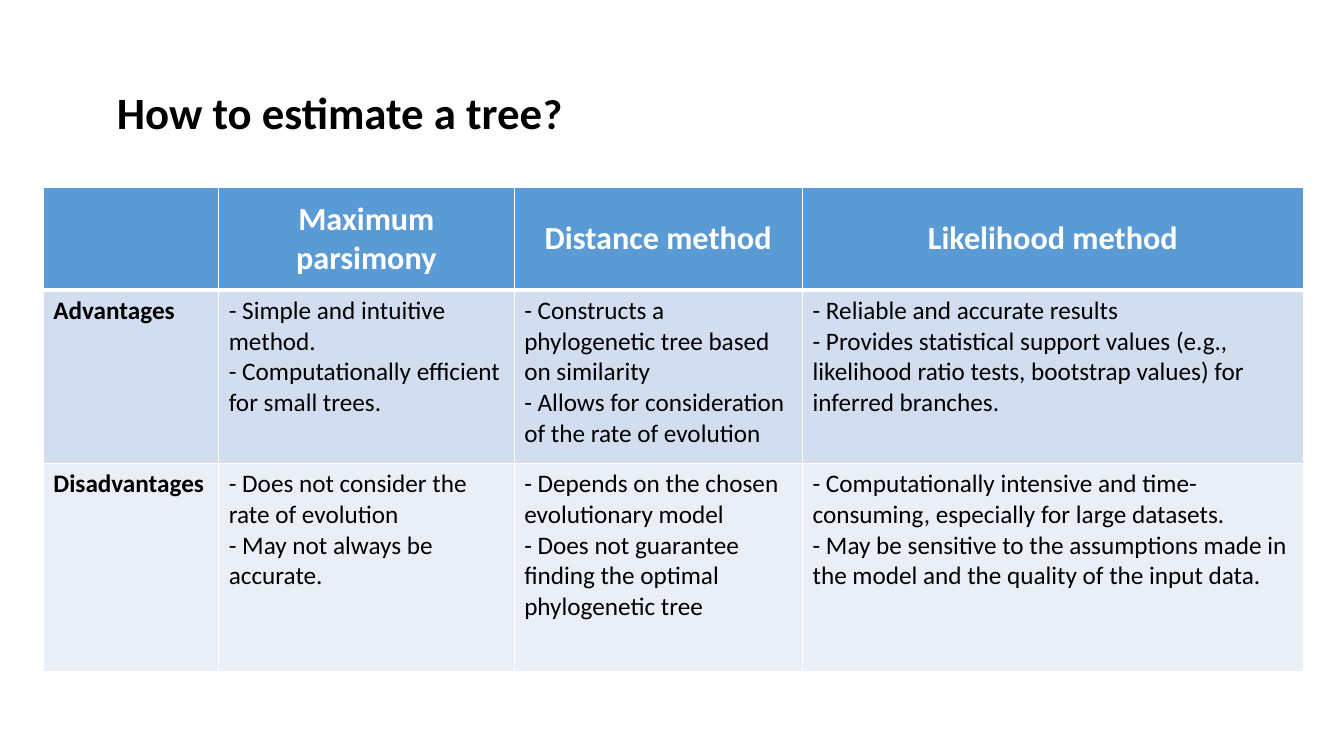
from dataclasses import dataclass

from lxml.etree import SubElement
from pptx import Presentation
from pptx.dml.color import RGBColor as Rgb
from pptx.enum.text import MSO_ANCHOR as Anchor, MSO_AUTO_SIZE as AutoSize, PP_ALIGN as Align
from pptx.oxml.ns import qn
from pptx.util import Emu, Pt


@dataclass(frozen=True)
class Theme:
    font: str = "Calibri"
    ink: str = "000000"
    paper: str = "FFFFFF"
    header_fill: str = "5B9BD5"
    body_fills: tuple = ("D2DEEF", "EAEFF7")
    title_size: int = 32
    mark_size: int = 30
    header_size: int = 23
    body_size: int = 18
    thin_rule: int = 1
    thick_rule: int = 3


THEME = Theme()
SLIDE_SIZE = (1333, 750)
TITLE_BOX = (106, 79, 975, 64)
TABLE_BOX = (43, 186, 1250, 480)
COLUMN_WIDTHS = (174, 293, 286, 497)
ROW_HEIGHTS = (102, 172, 206)

METHODS = ("", "Maximum parsimony", "Distance method", "Likelihood method")
COMPARISON = (
    (
        ("Advantages",),
        ("- Simple and intuitive method.",
         "- Computationally efficient for small trees."),
        ("- Constructs a phylogenetic tree based on similarity",
         "- Allows for consideration of the rate of evolution"),
        ("- Reliable and accurate results",
         "- Provides statistical support values (e.g., likelihood ratio tests, "
         "bootstrap values) for inferred branches."),
    ),
    (
        ("Disadvantages",),
        ("- Does not consider the rate of evolution",
         "- May not always be accurate."),
        ("- Depends on the chosen evolutionary model",
         "- Does not guarantee finding the optimal phylogenetic tree"),
        ("- Computationally intensive and time-consuming, especially for large datasets.",
         "- May be sensitive to the assumptions made in the model and the quality "
         "of the input data."),
    ),
)


def px(length):
    """Turn px (100 to the inch) into EMU."""
    return Emu(length * 9144)


def write(paragraph, text, size=THEME.body_size, color=THEME.ink, bold=False, align=Align.LEFT):
    paragraph.alignment = align
    run = paragraph.add_run()
    run.text = text
    run.font.name = THEME.font
    run.font.size = Pt(size)
    run.font.bold = bold
    run.font.color.rgb = Rgb.from_string(color)


def style_cell(cell, fill, top, bottom):
    """Rule the four sides, then fill; the rules must come first in the XML."""
    properties = cell._tc.get_or_add_tcPr()
    widths = {"L": THEME.thin_rule, "R": THEME.thin_rule, "T": top, "B": bottom}
    for side, width in widths.items():
        rule = SubElement(properties, qn(f"a:ln{side}"), w=str(Pt(width)))
        SubElement(SubElement(rule, qn("a:solidFill")), qn("a:srgbClr"), val=THEME.paper)
    cell.fill.solid()
    cell.fill.fore_color.rgb = Rgb.from_string(fill)


def add_title(slide, box):
    frame = slide.shapes.add_textbox(*map(px, box)).text_frame
    frame.word_wrap = True
    frame.auto_size = AutoSize.SHAPE_TO_FIT_TEXT
    heading = frame.paragraphs[0]
    write(heading, "How to estimate a tree", size=THEME.title_size, bold=True)
    write(heading, "?", size=THEME.mark_size, bold=True)


def add_comparison(slide, box):
    table = slide.shapes.add_table(len(ROW_HEIGHTS), len(COLUMN_WIDTHS), *map(px, box)).table
    for column, width in zip(table.columns, COLUMN_WIDTHS):
        column.width = px(width)
    for row, height in zip(table.rows, ROW_HEIGHTS):
        row.height = px(height)

    # Header row
    for cell, method in zip(table.rows[0].cells, METHODS):
        style_cell(cell, THEME.header_fill, THEME.thin_rule, THEME.thick_rule)
        cell.vertical_anchor = Anchor.MIDDLE
        if method:
            write(cell.text_frame.paragraphs[0], method, size=THEME.header_size,
                  color=THEME.paper, bold=True, align=Align.CENTER)

    # Advantages and disadvantages
    for row_index, (points_by_method, fill) in enumerate(zip(COMPARISON, THEME.body_fills), 1):
        top = THEME.thick_rule if row_index == 1 else THEME.thin_rule
        for column_index, points in enumerate(points_by_method):
            cell = table.cell(row_index, column_index)
            style_cell(cell, fill, top, THEME.thin_rule)
            frame = cell.text_frame
            for point_index, point in enumerate(points):
                paragraph = frame.add_paragraph() if point_index else frame.paragraphs[0]
                write(paragraph, point, bold=column_index == 0)


def main():
    deck = Presentation()
    deck.slide_width, deck.slide_height = map(px, SLIDE_SIZE)
    slide = deck.slides.add_slide(deck.slide_layouts[6])
    add_title(slide, TITLE_BOX)
    add_comparison(slide, TABLE_BOX)
    deck.save("out.pptx")


if __name__ == "__main__":
    main()
